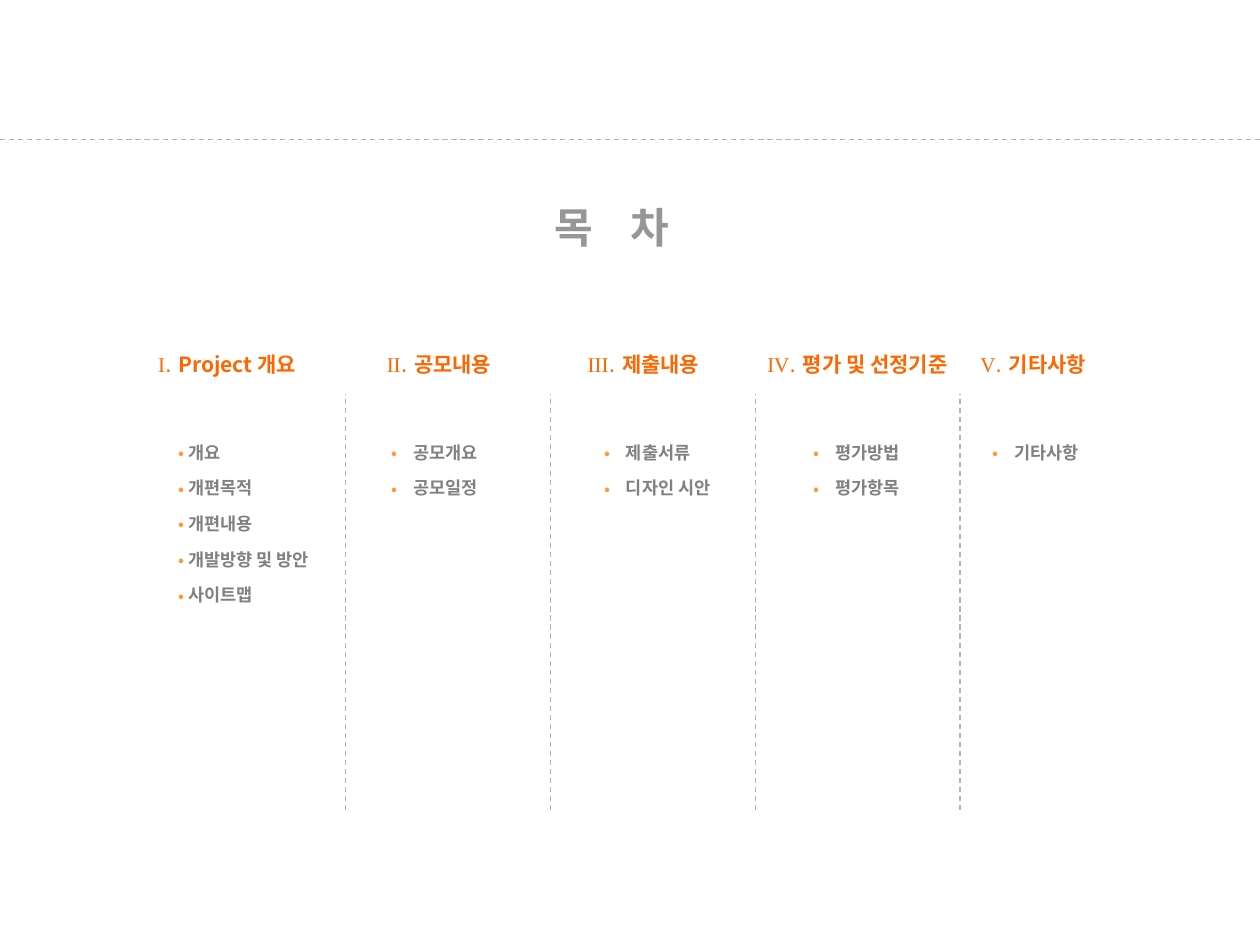
from dataclasses import dataclass

from lxml.etree import SubElement
from pptx import Presentation
from pptx.dml.color import RGBColor
from pptx.enum.dml import MSO_LINE
from pptx.enum.shapes import MSO_CONNECTOR
from pptx.enum.text import PP_ALIGN
from pptx.oxml.ns import qn
from pptx.util import Inches, Pt


@dataclass(frozen=True)
class Theme:
    accent: str = "FF6600"
    bullet: str = "FF9933"
    body: str = "808080"
    title: str = "969696"
    rule: str = "B2B2B2"
    sans: str = "Noto Sans CJK KR"
    serif: str = "Times New Roman"
    mark: str = "DejaVu Sans"
    title_size: float = 24
    head_size: float = 12
    item_size: float = 10


THEME = Theme()
HEAD_TOP, HEAD_HIGH, LIST_TOP = 2.74, 0.3, 3.34
LINE_HIGH = 0.28
RULE_TOP, RULE_END = 3.13, 6.43
RULE_LEFT, RULE_RIGHT, RULES = 2.74, 7.62, 4

# numeral, heading, heading (left, width), list (left, width), indent, items
PARTS = [
    ("I", "Project 개요", (1.01, 1.52), (1.32, 1.58), 0.08,
     ["개요", "개편목적", "개편내용", "개발방향 및 방안", "사이트맵"]),
    ("II", "공모내용", (2.88, 1.2), (3.01, 1.34), 0.17,
     ["공모개요", "공모일정"]),
    ("III", "제출내용", (4.21, 1.52), (4.7, 1.34), 0.17,
     ["제출서류", "디자인 시안"]),
    ("IV", "평가 및 선정기준", (5.73, 1.97), (6.36, 1.1), 0.17,
     ["평가방법", "평가항목"]),
    ("V", "기타사항", (7.44, 1.36), (7.78, 1.16), 0.17,
     ["기타사항"]),
]


def add_rule(slide, x1, y1, x2, y2):
    rule = slide.shapes.add_connector(
        MSO_CONNECTOR.STRAIGHT, Inches(x1), Inches(y1), Inches(x2), Inches(y2))
    rule.line.color.rgb = RGBColor.from_string(THEME.rule)
    rule.line.width = Pt(0.75)
    rule.line.dash_style = MSO_LINE.DASH
    SubElement(rule._element.spPr, qn("a:effectLst"))


def add_frame(slide, left, top, width, height):
    box = slide.shapes.add_textbox(
        Inches(left), Inches(top), Inches(width), Inches(height))
    box.text_frame.word_wrap = True
    return box.text_frame


def add_run(para, text, size, color, face, bold=True):
    run = para.add_run()
    run.text = text
    font = run.font
    font.size, font.bold, font.name = Pt(size), bold, face
    font.color.rgb = RGBColor.from_string(color)
    SubElement(run._r.get_or_add_rPr(), qn("a:ea"), typeface=face)
    return run


def add_bullet(para, indent):
    """Give the paragraph a coloured bullet with a hanging indent."""
    props = para._p.get_or_add_pPr()
    props.set("marL", str(Inches(indent)))
    props.set("indent", str(-Inches(indent)))
    color = SubElement(props, qn("a:buClr"))
    SubElement(color, qn("a:srgbClr"), val=THEME.bullet)
    SubElement(props, qn("a:buFont"), typeface=THEME.sans)
    SubElement(props, qn("a:buChar"), char="•")


def add_title(slide, left, top, width, height):
    para = add_frame(slide, left, top, width, height).paragraphs[0]
    para.alignment = PP_ALIGN.CENTER
    para.line_spacing = Pt(34.6)
    style = THEME.title_size, THEME.title, THEME.sans
    add_run(para, "목", *style)
    gap = add_run(para, " ", *style)
    gap._r.get_or_add_rPr().set("spc", "1600")  # wide gap, 16 pt
    add_run(para, "차", *style)


def add_head(slide, left, top, width, height, number, text):
    frame = add_frame(slide, left, top, width, height)
    frame.margin_right = Inches(0.18)
    para = frame.paragraphs[0]
    para.alignment = PP_ALIGN.RIGHT
    para.line_spacing = Pt(14.4)
    style = THEME.head_size, THEME.accent
    add_run(para, number, *style, THEME.serif, False)
    add_run(para, ". ", *style, THEME.mark, False)
    add_run(para, text, *style, THEME.sans)


def add_list(slide, left, top, width, height, items, indent):
    frame = add_frame(slide, left, top, width, height)
    for i, item in enumerate(items):
        para = frame.add_paragraph() if i else frame.paragraphs[0]
        para.line_spacing = Pt(20.4)
        add_bullet(para, indent)
        add_run(para, item, THEME.item_size, THEME.body, THEME.sans)


def add_rules(slide, left, top, right, bottom):
    step = (right - left) / (RULES - 1)
    for i in range(RULES):
        x = left + i * step
        add_rule(slide, x, bottom, x, top)


def main():
    deck = Presentation()
    deck.slide_width, deck.slide_height = Inches(10), Inches(7.5)
    slide = deck.slides.add_slide(deck.slide_layouts[6])
    add_rule(slide, 0, 1.11, 10, 1.11)
    add_rules(slide, RULE_LEFT, RULE_TOP, RULE_RIGHT, RULE_END)
    for number, text, head, body, indent, items in PARTS:
        add_head(slide, head[0], HEAD_TOP, head[1], HEAD_HIGH, number, text)
        high = 0.1 + LINE_HIGH * len(items)
        add_list(slide, body[0], LIST_TOP, body[1], high, items, indent)
    add_title(slide, 2.56, 1.47, 4.59, 0.58)
    deck.save("out.pptx")


if __name__ == "__main__":
    main()
